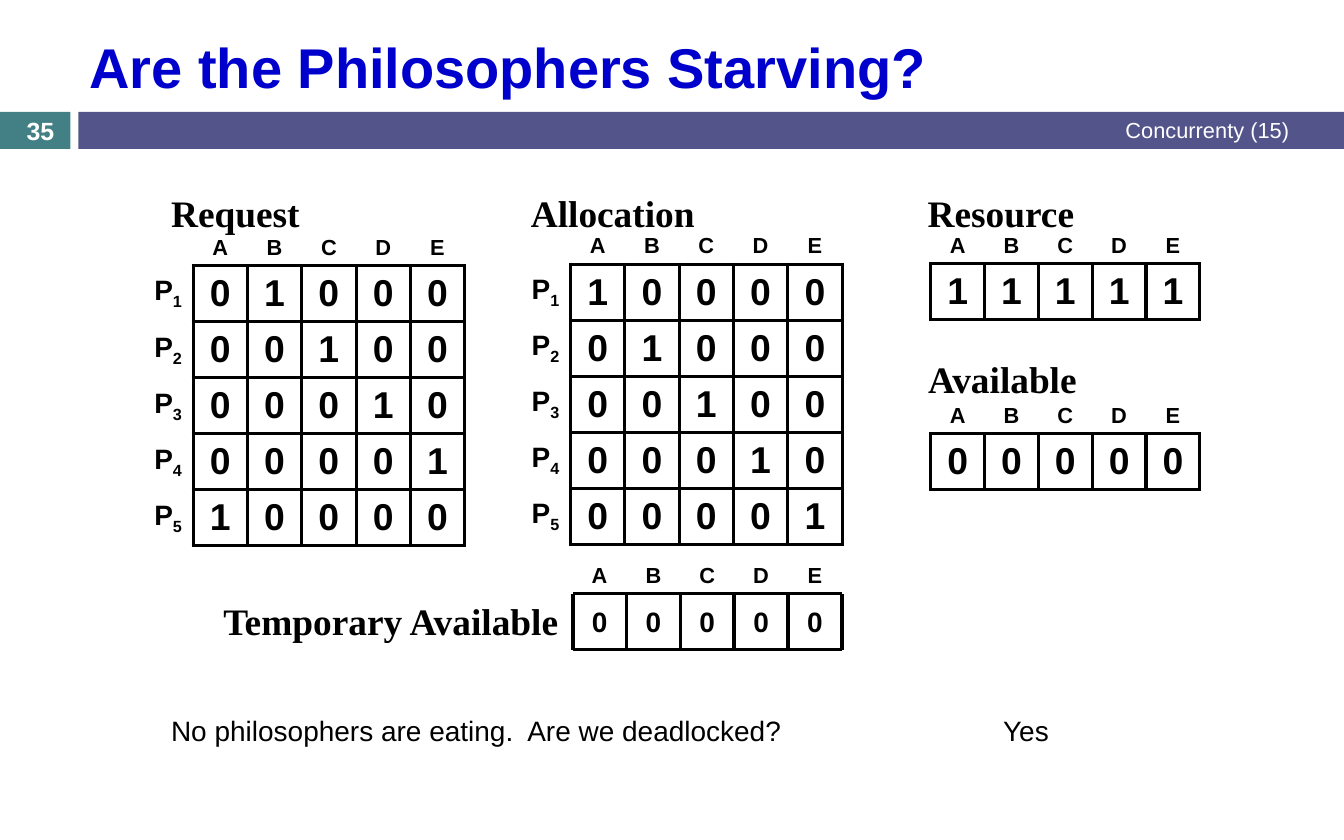
import pptx
import pptx.util
import pptx.dml.color
import pptx.enum.shapes
import pptx.enum.text
import pptx.oxml.ns
from lxml import etree

Cm = pptx.util.Cm
Pt = pptx.util.Pt
RGBColor = pptx.dml.color.RGBColor
Align = pptx.enum.text.PP_ALIGN
Anchor = pptx.enum.text.MSO_ANCHOR

BLACK = RGBColor(0x00, 0x00, 0x00)
WHITE = RGBColor(0xFF, 0xFF, 0xFF)
BLUE = RGBColor(0x00, 0x00, 0xCC)
TEAL = RGBColor(0x43, 0x80, 0x86)
PURPLE = RGBColor(0x53, 0x54, 0x8A)
SANS, SERIF = "Arial", "Times New Roman"
LEFT, MID, RIGHT = Align.LEFT, Align.CENTER, Align.RIGHT

NAMES = "ABCDE"
ROW, EDGE = 1.27, 2.25

BARS = [(0, 1.6, TEAL), (1.78, 28.7, PURPLE)]

HEADS = [
    ("Request", 3.63, 4.19, 4.47, LEFT),
    ("Allocation", 11.79, 4.19, 4.47, LEFT),
    ("Available", 20.8, 7.95, 4.39, LEFT),
    ("Resource", 20.22, 4.19, 4.39, RIGHT),
]

NOTES = [
    ("No philosophers are eating.  Are we deadlocked?", 3.63, 23.5, 1.65, True),
    ("Yes", 22.5, 1.55, 1.02, False),
]

TABLES = [
    (21.11, 8.89, 6.1, 0.94, ["00000"], False),
    (3.15, 4.9, 7.39, 1.12, ["01000", "00100", "00010", "00001", "10000"], True),
    (11.71, 4.9, 7.39, 1.09, ["10000", "01000", "00100", "00010", "00001"], True),
    (21.11, 5.13, 6.1, 0.84, ["11111"], False),
]

TEMP = "00000"
TEMP_LEFT, TEMP_TOP, TEMP_COL = 12.99, 13.46, 1.22


def style(para, size, color=BLACK, bold=True, align=MID, face=SANS, before=0):
    para.alignment = align
    para.space_before = Pt(before)
    font = para.font
    font.name, font.size, font.bold = face, Pt(size), bold
    font.color.rgb = color


def label(shapes, text, box, size, anchor=Anchor.TOP, wrap=True, **look):
    frame = shapes.add_textbox(*map(Cm, box)).text_frame
    frame.word_wrap = wrap
    frame.vertical_anchor = anchor
    frame.text = text
    style(frame.paragraphs[0], size, **look)


def block(shapes, box, color):
    rect = shapes.add_shape(pptx.enum.shapes.MSO_SHAPE.RECTANGLE, *map(Cm, box))
    rect.shadow.inherit = False
    rect.fill.solid()
    rect.fill.fore_color.rgb = color
    rect.line.fill.background()
    return rect


def rule(shapes, *ends):
    line = shapes.add_connector(
        pptx.enum.shapes.MSO_CONNECTOR.STRAIGHT, *map(Cm, ends))
    line.line.color.rgb = BLACK
    line.line.width = Pt(EDGE)
    etree.SubElement(line._element.spPr, pptx.oxml.ns.qn("a:effectLst"))


def border(cell, sides):
    props = cell._tc.get_or_add_tcPr()
    qn = pptx.oxml.ns.qn
    for side in "LRTB":
        edge = etree.SubElement(props, qn("a:ln" + side))
        if side in sides:
            edge.set("w", str(Pt(EDGE)))
            fill = etree.SubElement(edge, qn("a:solidFill"))
            etree.SubElement(fill, qn("a:srgbClr")).set("val", str(BLACK))
        else:
            edge.set("w", "0")
            etree.SubElement(edge, qn("a:noFill"))


def fill_cell(cell, text, kind):
    size, anchor, sides, align = {
        "head": (14, Anchor.BOTTOM, "B", MID),
        "side": (18, Anchor.MIDDLE, "R", RIGHT),
        "body": (24, Anchor.MIDDLE, "LRTB", MID),
        "none": (14, Anchor.BOTTOM, "", MID),
    }[kind]
    border(cell, sides)
    if kind == "body":
        cell.fill.solid()
        cell.fill.fore_color.rgb = WHITE
    else:
        cell.fill.background()
    cell.vertical_anchor = anchor
    para = cell.text_frame.paragraphs[0]
    style(para, size, align=align)
    if kind == "side":
        para.add_run().text = "P"
        sub = para.add_run()
        sub.text = text
        sub.font._element.set("baseline", "-25000")
    elif text:
        para.add_run().text = text


def matrix(shapes, left, top, width, head, rows, side):
    cells = [[(name, "head") for name in NAMES]]
    cells += [[(digit, "body") for digit in row] for row in rows]
    if side:
        cells[0].insert(0, ("", "none"))
        for num, row in enumerate(cells[1:], 1):
            row.insert(0, (str(num), "side"))
    count = len(cells[0])
    table = shapes.add_table(
        len(cells), count, Cm(left), Cm(top), Cm(width),
        Cm(head + ROW * len(rows))).table
    table.first_row = table.horz_banding = False
    for col in table.columns:
        col.width = Cm(width / count)
    for r, row in enumerate(cells):
        table.rows[r].height = Cm(ROW if r else head)
        for c, (text, kind) in enumerate(row):
            fill_cell(table.cell(r, c), text, kind)


def temp_grid(shapes):
    low = TEMP_TOP + ROW
    edges = [TEMP_LEFT + TEMP_COL * n for n in range(len(TEMP) + 1)]
    for x, name, digit in zip(edges, NAMES, TEMP):
        rect = block(shapes, (x, TEMP_TOP, TEMP_COL, ROW), WHITE)
        rect.text_frame.vertical_anchor = Anchor.MIDDLE
        rect.text_frame.text = digit
        style(rect.text_frame.paragraphs[0], 18)
        label(shapes, name, (x, TEMP_TOP - 0.89, TEMP_COL, 0.89), 14,
              anchor=Anchor.BOTTOM)
    for x in edges:
        rule(shapes, x, TEMP_TOP, x, low)
    for y in (TEMP_TOP, low):
        rule(shapes, edges[0], y, edges[-1], y)
    label(shapes, "Temporary Available", (4.32, 13.44, 8.59, 1.27), 24,
          align=RIGHT, face=SERIF, before=3)


def main():
    deck = pptx.Presentation()
    deck.slide_width, deck.slide_height = Cm(30.48), Cm(19.05)
    shapes = deck.slides.add_slide(deck.slide_layouts[6]).shapes
    for left, width, color in BARS:
        block(shapes, (left, 2.54, width, 0.84), color)
    temp_grid(shapes.add_group_shape().shapes)
    label(shapes, "Are the Philosophers Starving?", (1.78, 0.48, 27.71, 2.03),
          36, anchor=Anchor.MIDDLE, color=BLUE, align=LEFT)
    for text, left, top, width, align in HEADS:
        label(shapes, text, (left, top, width, 1.27), 24, align=align,
              face=SERIF, before=3)
    for spot in TABLES:
        matrix(shapes, *spot)
    for text, left, width, height, wrap in NOTES:
        label(shapes, text, (left, 16.05, width, height), 18, wrap=wrap,
              bold=False, align=LEFT, before=1)
    label(shapes, "Concurrenty (15)", (11.43, 2.51, 18.06, 0.89), 14,
          anchor=Anchor.MIDDLE, color=WHITE, bold=False, align=RIGHT)
    label(shapes, "35", (0, 2.59, 1.83, 0.76), 16, anchor=Anchor.MIDDLE,
          color=WHITE)
    deck.save("out.pptx")


if __name__ == "__main__":
    main()
